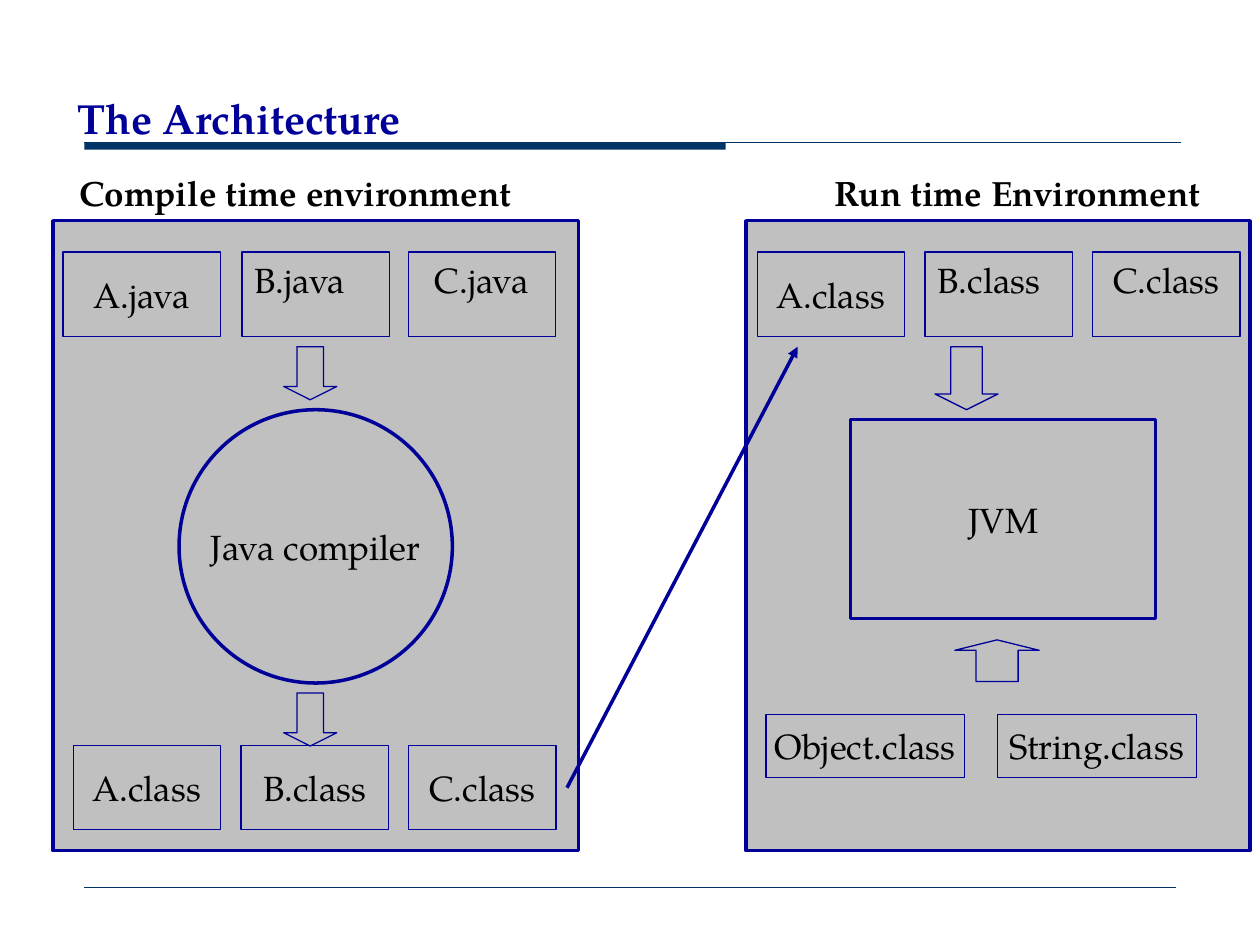
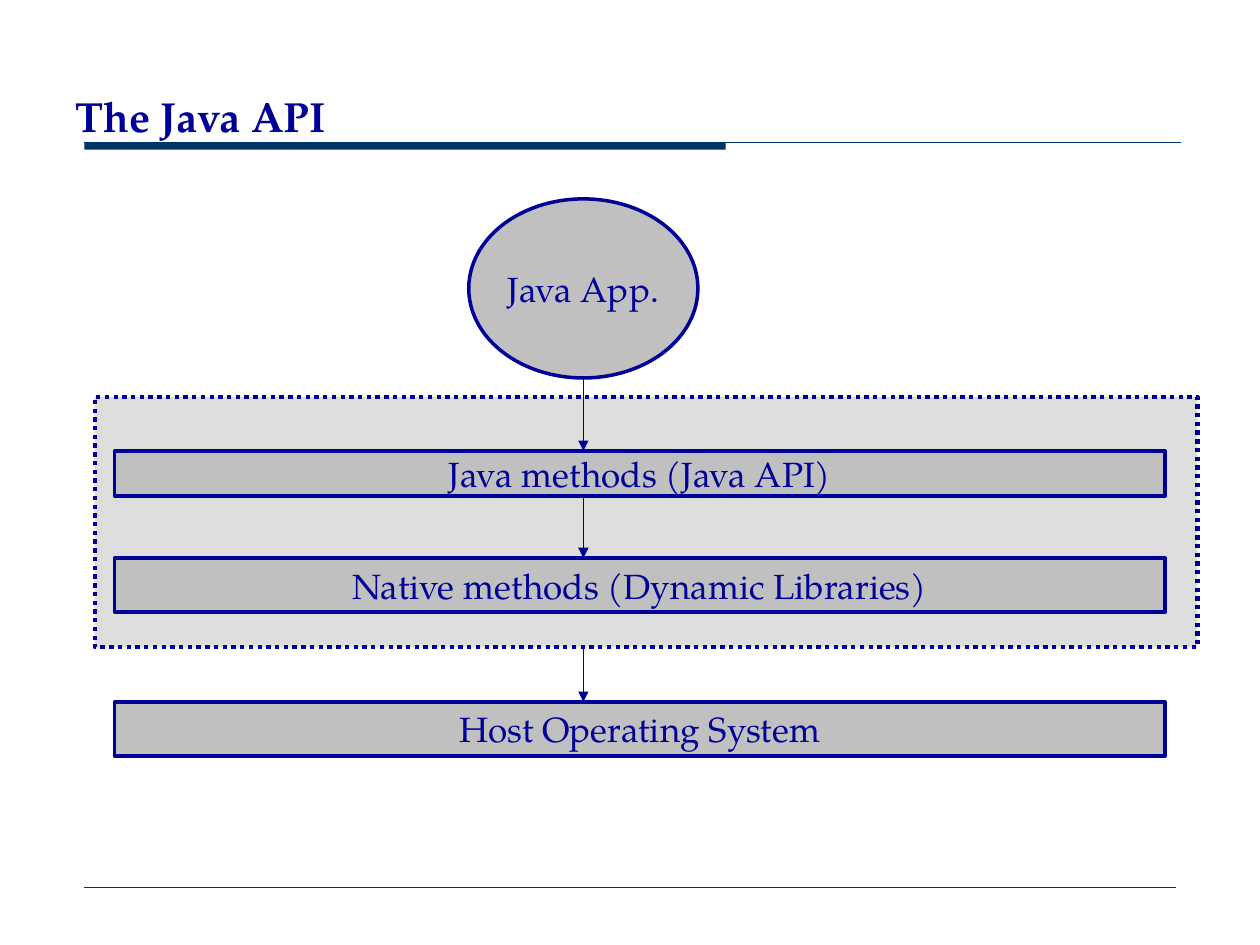
from lxml.etree import SubElement
from pptx import Presentation
from pptx.dml.color import RGBColor
from pptx.enum.dml import MSO_LINE
from pptx.enum.shapes import MSO_CONNECTOR, MSO_SHAPE
from pptx.enum.text import MSO_ANCHOR, PP_ALIGN
from pptx.oxml.ns import qn
from pptx.util import Cm, Pt

FONT = "TeX Gyre Pagella"
BLUE, NAVY, BLACK = "000099", "003366", "000000"
SILVER, PALE = "C0C0C0", "DDDDDD"
LEFT, CENTER, RIGHT = PP_ALIGN.LEFT, PP_ALIGN.CENTER, PP_ALIGN.RIGHT
TOP, MIDDLE = MSO_ANCHOR.TOP, MSO_ANCHOR.MIDDLE
THIN, THICK = 0.75, 2

# Architecture content; lengths in cm, areas as left, top, width, height
HEADINGS = [
    ("Compile time environment", (1.35, 3.33, 11, 1.12), LEFT),
    ("Run time Environment", (13.46, 3.33, 11, 1.12), RIGHT),
]
FRAMES = [(1.07, 4.45, 10.59, 12.7), (15.04, 4.45, 10.16, 12.7)]
FILE_WIDTH, FILE_HEIGHT, FILE_PITCH = 2.97, 1.7, 3.38
SOURCE_FILES = [  # name, left, width, alignment, anchor
    ("A.java", 1.27, 3.18, CENTER, MIDDLE),
    ("B.java", 4.88, FILE_WIDTH, LEFT, TOP),
    ("C.java", 8.23, FILE_WIDTH, CENTER, TOP),
]
CLASS_FILES = ["A.class", "B.class", "C.class"]
LOADED_STYLES = [(CENTER, MIDDLE), (LEFT, TOP), (CENTER, TOP)]
LIBRARY_FILES = ["Object.class", "String.class"]
BLOCK_ARROWS = [
    (MSO_SHAPE.DOWN_ARROW, (5.72, 6.99, 1.07, 1.07)),
    (MSO_SHAPE.DOWN_ARROW, (5.72, 13.97, 1.07, 1.07)),
    (MSO_SHAPE.DOWN_ARROW, (18.85, 6.99, 1.27, 1.27)),
    (MSO_SHAPE.UP_ARROW, (19.25, 12.9, 1.7, 0.84)),
]

# API content
API_PANEL = (1.91, 8, 22.23, 5.05)
LAYERS = [  # name, top, height
    ("Java methods (Java API)", 9.09, 0.91),
    ("Native methods (Dynamic Libraries)", 11.25, 1.09),
    ("Host Operating System", 14.15, 1.09),
]
CALL_STARTS = [7.65, 9.98, 13.06]  # each call ends at the top of a layer
CALL_X = 11.76


def color(value):
    return RGBColor.from_string(value)


def write(shape, text, size=20, ink=BLACK, bold=False, align=CENTER,
          anchor=MIDDLE, wrap=False):
    frame = shape.text_frame
    frame.word_wrap = wrap
    frame.vertical_anchor = anchor
    para = frame.paragraphs[0]
    para.text = text
    para.alignment = align
    para.font.name, para.font.size = FONT, Pt(size)
    para.font.bold, para.font.color.rgb = bold, color(ink)


def add_text(page, text, area, **style):
    box = page.shapes.add_textbox(*map(Cm, area))
    write(box, text, wrap=True, **style)


def add_box(page, area, text="", kind=MSO_SHAPE.RECTANGLE, fill=SILVER,
            weight=THIN, **style):
    box = page.shapes.add_shape(kind, *map(Cm, area))
    box.shadow.inherit = False
    box.fill.solid()
    box.fill.fore_color.rgb = color(fill)
    box.line.color.rgb = color(BLUE)
    box.line.width = Pt(weight)
    if text:
        write(box, text, wrap=style.get("align") == LEFT, **style)
    return box


def add_line(page, start, end, ink=BLUE, weight=THIN, arrow=False):
    line = page.shapes.add_connector(MSO_CONNECTOR.STRAIGHT,
                                     *map(Cm, (*start, *end)))
    line.line.color.rgb = color(ink)
    line.line.width = Pt(weight)
    if arrow:
        SubElement(line.line._get_or_add_ln(), qn("a:tailEnd"), type="triangle")
    SubElement(line._element.spPr, qn("a:effectLst"))


def add_page(deck, title, left, top):
    page = deck.slides.add_slide(deck.slide_layouts[6])
    # Title rule and footer line
    band = add_box(page, (1.7, 2.87, 12.93, 0.15), fill=NAVY)
    band.line.fill.background()
    add_line(page, (1.7, 2.87), (23.8, 2.87), NAVY)
    add_line(page, (1.7, 17.88), (23.7, 17.88), NAVY, 0.25)
    add_text(page, title, (left, top, 9.9, 1.02), size=24, ink=BLUE,
             bold=True, align=LEFT, anchor=TOP)
    return page


def build_architecture(deck):
    page = add_page(deck, "The Architecture", 1.32, 1.75)
    for text, area, align in HEADINGS:
        add_text(page, text, area, bold=True, align=align)
    for area in FRAMES:
        add_box(page, area, weight=THICK)

    # Files: sources, compiled classes, loaded classes, libraries
    for name, left, width, align, anchor in SOURCE_FILES:
        add_box(page, (left, 5.08, width, FILE_HEIGHT), name,
                align=align, anchor=anchor)
    for index, name in enumerate(CLASS_FILES):
        offset = index * FILE_PITCH
        align, anchor = LOADED_STYLES[index]
        add_box(page, (1.48 + offset, 15.03, FILE_WIDTH, FILE_HEIGHT), name)
        add_box(page, (15.27 + offset, 5.08, FILE_WIDTH, FILE_HEIGHT), name,
                align=align, anchor=anchor)
    for index, name in enumerate(LIBRARY_FILES):
        add_box(page, (15.44 + index * 4.67, 14.4, 4.01, 1.27), name)

    # Compiler, virtual machine and the flow between them
    add_box(page, (3.61, 8.26, 5.51, 5.51), "Java compiler",
            MSO_SHAPE.OVAL, weight=THICK)
    add_box(page, (17.15, 8.46, 6.15, 4.01), "JVM", weight=THICK)
    for kind, area in BLOCK_ARROWS:
        arrow = add_box(page, area, kind=kind)
        arrow.adjustments[0], arrow.adjustments[1] = 0.5, 0.25
    add_line(page, (11.43, 15.88), (16.08, 6.99), weight=THICK, arrow=True)


def build_api(deck):
    page = add_page(deck, "The Java API", 1.27, 1.7)
    panel = add_box(page, API_PANEL, fill=PALE, weight=2.5)
    panel.line.dash_style = MSO_LINE.ROUND_DOT
    add_box(page, (9.45, 4.01, 4.62, 3.61), "Java App.", MSO_SHAPE.OVAL,
            weight=THICK, ink=BLUE)
    # Layers, each reached by a call from above
    for (name, top, height), start in zip(LAYERS, CALL_STARTS):
        add_box(page, (2.31, top, 21.18, height), name, weight=THICK, ink=BLUE)
        add_line(page, (CALL_X, start), (CALL_X, top), arrow=True)


def main():
    deck = Presentation()
    deck.slide_width, deck.slide_height = Cm(25.4), Cm(19.05)
    build_architecture(deck)
    build_api(deck)
    deck.save("out.pptx")


if __name__ == "__main__":
    main()
